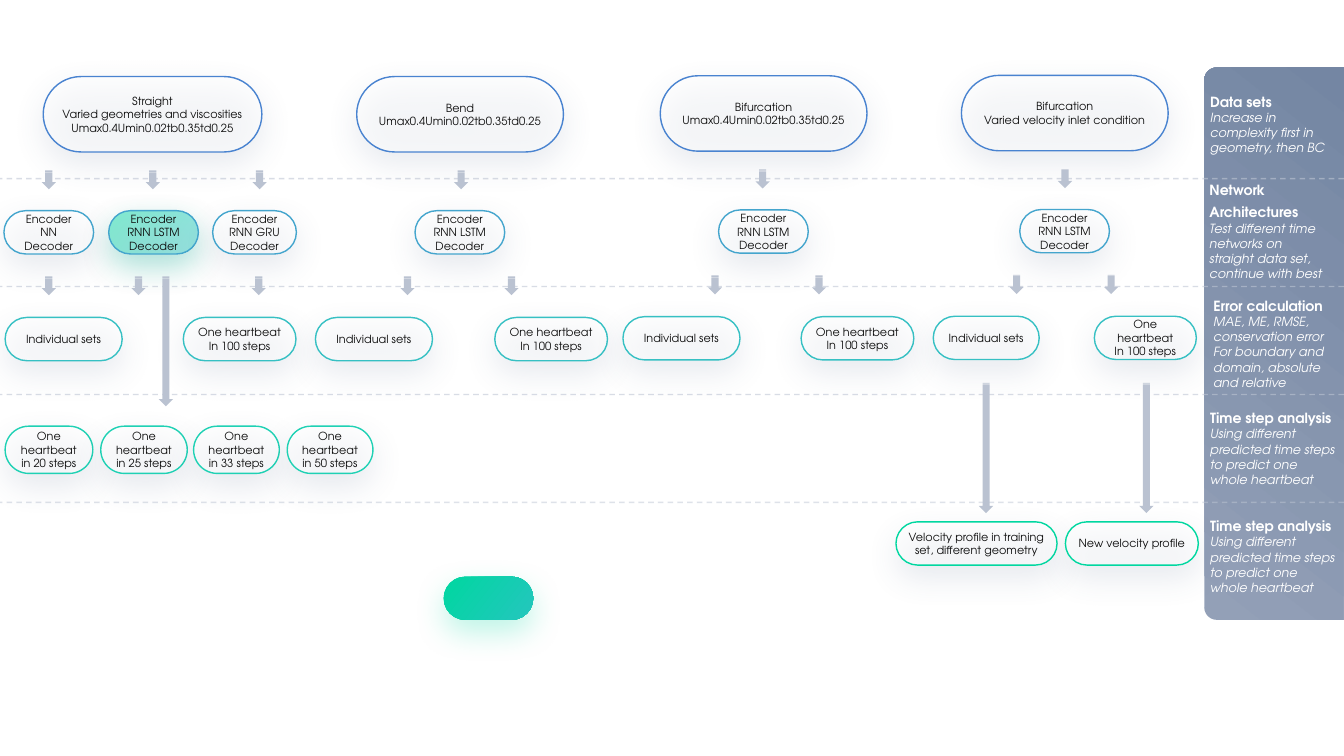
from collections import namedtuple
from dataclasses import dataclass

from lxml import etree
from pptx import Presentation
from pptx import util as u
from pptx.dml.color import RGBColor
from pptx.enum import dml, shapes, text
from pptx.oxml.ns import qn


@dataclass(frozen=True)
class Theme:
    font: str = "TeX Gyre Adventor"
    ink: str = "0D0D0D"
    paper: str = "FFFFFF"
    rule: str = "BEC6D4"
    arrow: str = "BAC2D1"
    glow: str = "00D7A0"
    shade: str = "475D84"
    rows: tuple = ("4983D0", "44A5CD", "36C0C3", "1FD1B4", "00D7A0")
    accent: tuple = ("00D7A0", "24C6BE")
    sidebar: tuple = ("93A0B7", "7486A3")
    node_size: int = 8
    heading_size: int = 10
    note_size: int = 9


THEME = Theme()
Box = namedtuple("Box", "left top width height")  # centimetres

# Five horizontal bands, one for each stage of the study
SLIDE = Box(0, 0, 33.87, 19.05)
BAND_TOP, BAND = 1.78, 2.72
NODE_TOPS = (1.93, 5.31, 8.0, 10.74, 13.18)
NODE_HEIGHTS = (1.9, 1.09, 1.09, 1.19, 1.09)
ARROW_TOPS = (4.29, 6.96, 9.68)
SHORT, LONG, ARROW_WIDTH = 0.48, 3.28, 0.36

WAVE = "Umax0.4Umin0.02tb0.35td0.25"
LSTM = ("Encoder", "RNN LSTM", "Decoder")
SETS = ("Individual sets",)
BEAT = ("One heartbeat", "In 100 steps")

# Each pipeline: box, nodes (row, x, width, lines), arrows (row, centre x, length)
PIPELINES = [
    (Box(0.1, 0, 9.3, 15),
     [(0, 0.99, 5.51, ("Straight", "Varied geometries and viscosities", WAVE)),
      (1, 0, 2.26, ("Encoder", "NN", "Decoder")),
      (1, 2.64, 2.26, LSTM),
      (1, 5.26, 2.11, ("Encoder", "RNN GRU", "Decoder")),
      (2, 0.03, 2.95, SETS), (2, 4.52, 2.84, BEAT),
      (3, 0.03, 2.21, ("One heartbeat", "in 20 steps")),
      (3, 2.44, 2.18, ("One heartbeat", "in 25 steps")),
      (3, 4.78, 2.16, ("One heartbeat", "in 33 steps")),
      (3, 7.14, 2.16, ("One heartbeat", "in 50 steps"))],
     [(0, 1.13, SHORT), (0, 3.75, SHORT), (0, 6.44, SHORT),
      (1, 1.13, SHORT), (1, 3.39, SHORT), (1, 6.42, SHORT), (1, 4.08, LONG)]),
    (Box(7.95, 0, 7.36, 15),
     [(0, 1.04, 5.21, ("Bend", WAVE)), (1, 2.51, 2.26, LSTM),
      (2, 0, 2.95, SETS), (2, 4.52, 2.84, BEAT)],
     [(0, 3.67, SHORT), (1, 2.32, SHORT), (1, 4.94, SHORT)]),
    (Box(15.7, -0.02, 7.33, 15),
     [(0, 0.94, 5.21, ("Bifurcation", WAVE)), (1, 2.41, 2.26, LSTM),
      (2, 0, 2.95, SETS), (2, 4.49, 2.84, BEAT)],
     [(0, 3.52, SHORT), (1, 2.32, SHORT), (1, 4.94, SHORT)]),
    (Box(22.58, -0.03, 7.62, 15),
     [(0, 1.65, 5.21, ("Bifurcation", "Varied velocity inlet condition")),
      (1, 3.12, 2.26, LSTM),
      (2, 0.94, 2.67, SETS), (2, 5.0, 2.57, BEAT),
      (4, 0, 4.06, ("Velocity profile in training set, different geometry",)),
      (4, 4.27, 3.35, ("New velocity profile",))],
     [(0, 4.26, SHORT), (1, 3.04, SHORT), (1, 5.42, SHORT),
      (2, 2.27, LONG), (2, 6.31, LONG)]),
]

# Notes: nudge, width, heading, explanation
STEP_NOTE = (0, 3.51, "Time step analysis",
             ("Using different predicted time steps to predict one whole heartbeat",))
NOTES = [
    (0, 3.25, "Data sets", ("Increase in complexity first in geometry, then BC",)),
    (-0.02, 3.25, "Network Architectures",
     ("Test different time networks on straight data set, continue with best",)),
    (0.08, 3.25, "Error calculation",
     ("MAE, ME, RMSE, conservation error",
      "For boundary and domain, absolute and relative")),
    STEP_NOTE, STEP_NOTE,
]


def rgb(value):
    return RGBColor.from_string(value)


def lengths(box):
    return [u.Cm(side) for side in box]


def add_alpha(parent, percent):
    colour = next(parent.iter(qn("a:srgbClr")))
    etree.SubElement(colour, qn("a:alpha"), val=str(percent * 1000))


def add_preset(slide, kind, box):
    preset = slide.shapes.add_shape(kind, *lengths(box))
    preset.shadow.inherit = False
    preset.line.fill.background()
    return preset


def fill_gradient(preset, colours):
    preset.fill.gradient()
    preset.fill.gradient_angle = 322
    for stop, colour in zip(preset.fill.gradient_stops, colours):
        stop.color.rgb = rgb(colour)


def add_soft_shadow(preset, colour, percent):
    effects = preset._element.spPr.find(qn("a:effectLst"))
    shadow = etree.SubElement(
        effects, qn("a:outerShdw"), blurRad=str(u.Pt(23)), dist=str(u.Pt(8.7)),
        dir="5400000", algn="t", rotWithShape="0")
    etree.SubElement(shadow, qn("a:srgbClr"), val=colour)
    add_alpha(shadow, percent)


def add_run(paragraph, words, size, colour, bold=False, italic=False):
    run = paragraph.add_run()
    run.text = words
    font = run.font
    font.name, font.size, font.color.rgb = THEME.font, u.Pt(size), rgb(colour)
    font.bold, font.italic = bold, italic


def prepare_frame(frame, top_inset):
    frame.word_wrap = True
    frame.vertical_anchor = text.MSO_ANCHOR.MIDDLE
    frame.margin_left = frame.margin_right = frame.margin_bottom = u.Cm(0.15)
    frame.margin_top = u.Cm(top_inset)


def add_pill(slide, box):
    pill = add_preset(slide, shapes.MSO_SHAPE.ROUNDED_RECTANGLE, box)
    pill.adjustments[0] = 0.5
    return pill


def add_highlight(slide, box):
    highlight = add_pill(slide, box)
    fill_gradient(highlight, THEME.accent)
    add_soft_shadow(highlight, THEME.glow, 26)


def add_node(slide, box, outline, lines):
    node = add_pill(slide, box)
    node.fill.solid()
    node.fill.fore_color.rgb = rgb(THEME.paper)
    add_alpha(node._element.spPr.find(qn("a:solidFill")), 50)
    node.line.color.rgb = rgb(outline)
    node.line.width = u.Pt(1)
    add_soft_shadow(node, THEME.shade, 22)
    frame = node.text_frame
    prepare_frame(frame, 0.15)
    for index, line in enumerate(lines):
        paragraph = frame.add_paragraph() if index else frame.paragraphs[0]
        paragraph.alignment = text.PP_ALIGN.CENTER
        add_run(paragraph, line, THEME.node_size, THEME.ink)


def add_down_arrow(slide, centre, top, length):
    box = Box(centre - length / 2, top + (length - ARROW_WIDTH) / 2, length, ARROW_WIDTH)
    arrow = add_preset(slide, shapes.MSO_SHAPE.STRIPED_RIGHT_ARROW, box)
    arrow.rotation = 90
    arrow.fill.solid()
    arrow.fill.fore_color.rgb = rgb(THEME.arrow)


def add_sidebar(slide, box):
    # A shape turned by 270 degrees, so its rounded top faces left
    turned = Box(box.left + (box.width - box.height) / 2,
                 box.top + (box.height - box.width) / 2, box.height, box.width)
    panel = add_preset(slide, shapes.MSO_SHAPE.ROUND_2_SAME_RECTANGLE, turned)
    panel.rotation = 270
    panel.adjustments[0] = 0.09
    fill_gradient(panel, THEME.sidebar)


def add_band_rules(slide, box):
    for band in range(1, 5):
        y = u.Cm(box.top + BAND_TOP + band * BAND)
        rule = slide.shapes.add_connector(
            shapes.MSO_CONNECTOR.STRAIGHT, u.Cm(box.left + box.width), y, u.Cm(box.left), y)
        rule.line.color.rgb = rgb(THEME.rule)
        rule.line.width = u.Pt(1)
        rule.line.dash_style = dml.MSO_LINE.DASH
        properties = rule._element.spPr
        add_alpha(properties, 60 if band < 4 else 50)
        etree.SubElement(properties, qn("a:effectLst"))


def add_pipeline(slide, box, nodes, arrows):
    for row, x, width, lines in nodes:
        node_box = Box(box.left + x, box.top + NODE_TOPS[row], width, NODE_HEIGHTS[row])
        add_node(slide, node_box, THEME.rows[row], lines)
    for row, centre, length in arrows:
        add_down_arrow(slide, box.left + centre, box.top + ARROW_TOPS[row], length)


def add_notes(slide, box):
    for band, (nudge, width, heading, explanation) in enumerate(NOTES):
        note_box = Box(box.left + nudge, BAND_TOP + band * BAND + nudge, width, BAND)
        frame = slide.shapes.add_textbox(*lengths(note_box)).text_frame
        prepare_frame(frame, 0)
        title = frame.paragraphs[0]
        title.line_spacing = u.Pt(16)
        add_run(title, heading, THEME.heading_size, THEME.paper, bold=True)
        for sentence in explanation:
            add_run(frame.add_paragraph(), sentence, THEME.note_size, THEME.paper, italic=True)


def main():
    deck = Presentation()
    deck.slide_width, deck.slide_height = u.Cm(SLIDE.width), u.Cm(SLIDE.height)
    slide = deck.slides.add_slide(deck.slide_layouts[6])
    sidebar = Box(30.35, 1.7, 3.51, 13.92)

    # Background panel, highlights and band rules
    add_sidebar(slide, sidebar)
    for left, top in ((2.74, 5.31), (11.18, 14.53)):
        add_highlight(slide, Box(left, top, 2.26, 1.09))
    add_band_rules(slide, SLIDE)

    # Pipelines for the four data sets, then the stage notes
    for box, nodes, arrows in PIPELINES:
        add_pipeline(slide, box, nodes, arrows)
    add_notes(slide, sidebar)
    deck.save("out.pptx")


if __name__ == "__main__":
    main()
